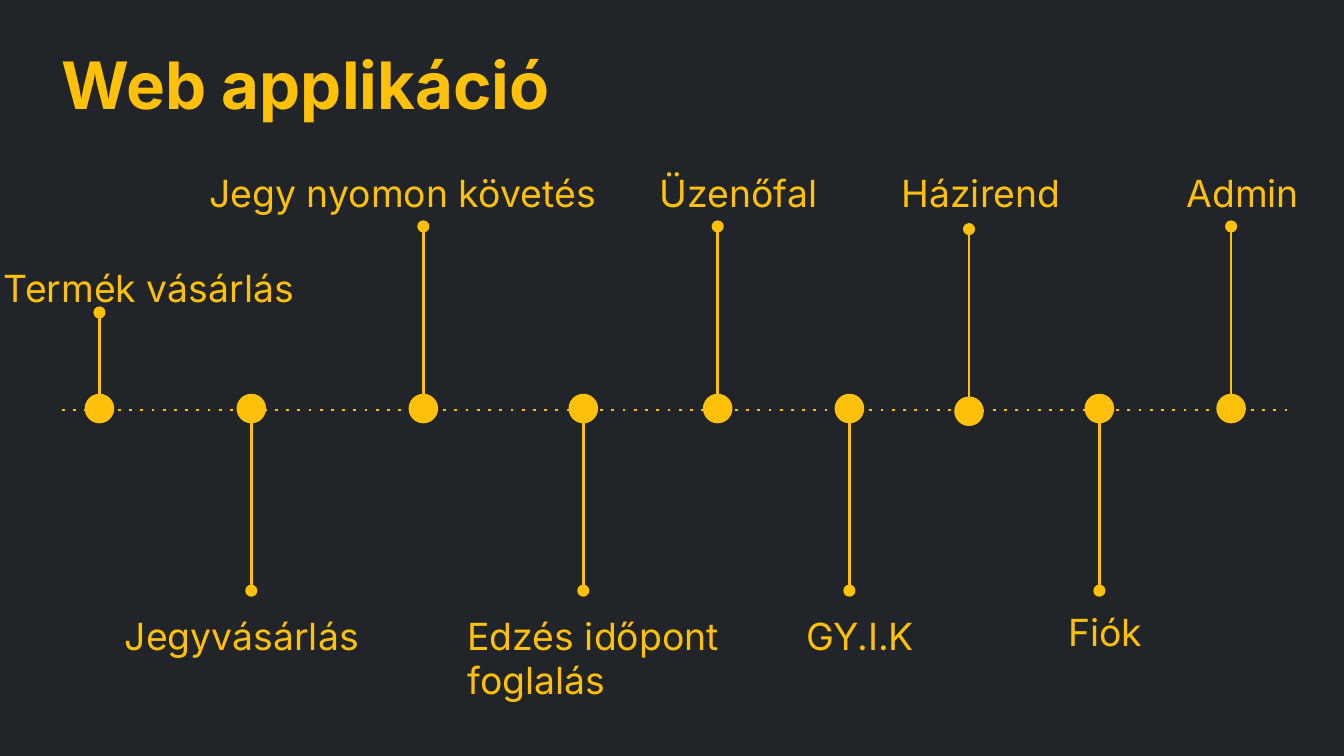
from lxml import etree
from pptx import Presentation
from pptx import util as u
from pptx.dml.color import RGBColor
from pptx.enum import shapes, text
from pptx.oxml.ns import qn

COLORS = {"background": "212529", "accent": "FFC107"}
FONT = "Inter"

SLIDE_WIDTH = 10
SLIDE_HEIGHT = SLIDE_WIDTH * 9 / 16
AXIS_Y = 3.05
NODE_Y = 3.04
NODE_SIZE = 0.21
TIP_SIZE = 0.08
STEM = 1.29
LABEL_TOP, LABEL_BOTTOM = 1.17, 4.46


class TimelineSlide:
    def __init__(self, prs):
        self.slide = prs.slides.add_slide(prs.slide_layouts[6])
        self.accent = RGBColor.from_string(COLORS["accent"])
        fill = self.slide.background.fill
        fill.solid()
        fill.fore_color.rgb = RGBColor.from_string(COLORS["background"])

    def label(self, words, left, top, width, height, size=20, bold=False, spacing=None):
        box = self.slide.shapes.add_textbox(*map(u.Inches, (left, top, width, height)))
        frame = box.text_frame
        frame.word_wrap = True
        frame.vertical_anchor = text.MSO_ANCHOR.TOP
        frame.margin_left = frame.margin_right = u.Inches(0.1)
        frame.margin_top = frame.margin_bottom = u.Inches(0.1)
        paragraph = frame.paragraphs[0]
        if spacing:
            paragraph.line_spacing = spacing
        run = paragraph.add_run()
        run.text = words
        run.font.name = FONT
        run.font.size = u.Pt(size)
        run.font.bold = bold
        run.font.color.rgb = self.accent

    def line(self, parent, x1, y1, x2, y2, dotted=False):
        line = parent.add_connector(
            shapes.MSO_CONNECTOR.STRAIGHT, *map(u.Inches, (x1, y1, x2, y2)))
        line.line.color.rgb = self.accent
        line.line.width = u.Pt(1.5)
        properties = line._element.spPr
        if dotted:
            etree.SubElement(properties.find(qn("a:ln")), qn("a:prstDash"), val="dot")
        etree.SubElement(properties, qn("a:effectLst"))

    def dot(self, parent, x, y, size):
        dot = parent.add_shape(
            shapes.MSO_SHAPE.OVAL,
            *map(u.Inches, (x - size / 2, y - size / 2, size, size)))
        dot.shadow.inherit = False
        dot.fill.solid()
        dot.fill.fore_color.rgb = self.accent
        dot.line.color.rgb = self.accent
        dot.line.width = u.Pt(0.75)

    def milestone(self, x, direction, stem=STEM, shift=0):
        """Node on the axis with a stem going up (-1) or down (1) to a small tip."""
        group = self.slide.shapes.add_group_shape().shapes
        node_y = NODE_Y + shift
        start = node_y + direction * NODE_SIZE / 2
        end = start + direction * stem
        self.dot(group, x, node_y, NODE_SIZE)
        self.line(group, x, start, x, end)
        self.dot(group, x, end - direction * TIP_SIZE / 2, TIP_SIZE)


def main():
    prs = Presentation()
    prs.slide_width, prs.slide_height = u.Inches(SLIDE_WIDTH), u.Inches(SLIDE_HEIGHT)
    page = TimelineSlide(prs)

    # Title
    page.label("Web applikáció", 0.36, 0.34, 9.32, 0.68, size=35, bold=True, spacing=0.8)

    # Dotted axis
    page.line(page.slide.shapes, 0.46, AXIS_Y, 9.58, AXIS_Y, dotted=True)

    # Milestones: the first stem is short, the seventh sits slightly lower
    page.milestone(0.74, -1, stem=0.65)
    for x in (4.34, 6.32, 8.18):
        page.milestone(x, 1)
    for x in (3.15, 5.34):
        page.milestone(x, -1)
    page.milestone(7.21, -1, shift=0.02)
    page.milestone(1.87, 1)
    page.milestone(9.16, -1)

    # Milestone labels: words, left, top, width, height
    labels = [
        ("Termék vásárlás", -0.07, 1.87, 2.61, 0.36),
        ("Jegy nyomon követés", 1.46, LABEL_TOP, 3.16, 0.36),
        ("Jegyvásárlás", 0.83, LABEL_BOTTOM, 2.08, 0.36),
        ("Edzés időpont foglalás", 3.38, LABEL_BOTTOM, 2.67, 0.36),
        ("Üzenőfal", 4.81, LABEL_TOP, 1.41, 0.36),
        ("Házirend", 6.61, LABEL_TOP, 1.41, 0.4),
        ("GY.I.K", 5.9, LABEL_BOTTOM, 1.02, 0.36),
        ("Admin", 8.73, LABEL_TOP, 1.18, 0.4),
        ("Fiók", 7.85, 4.43, 0.85, 0.4),
    ]
    for label in labels:
        page.label(*label)

    prs.save("out.pptx")


if __name__ == "__main__":
    main()
